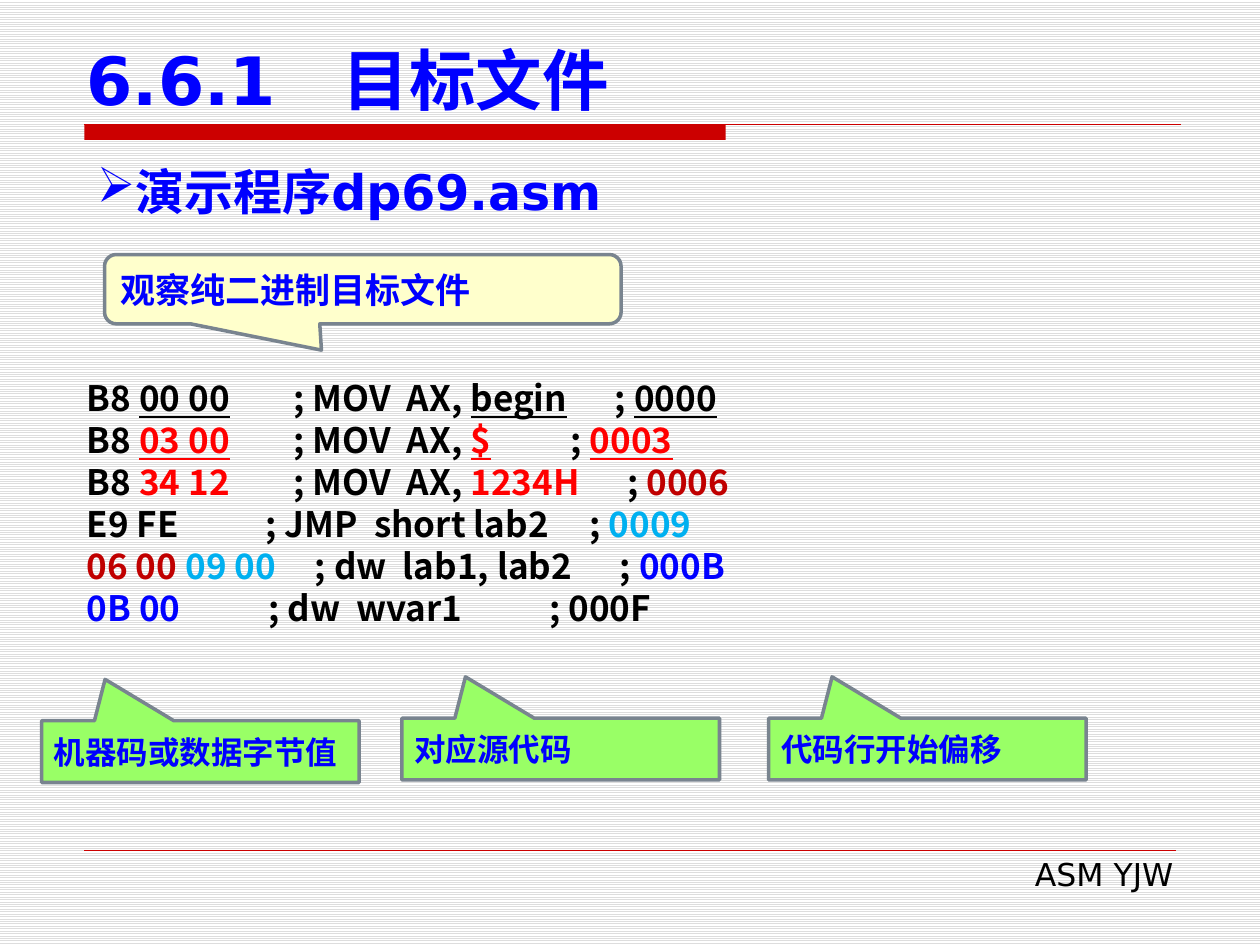
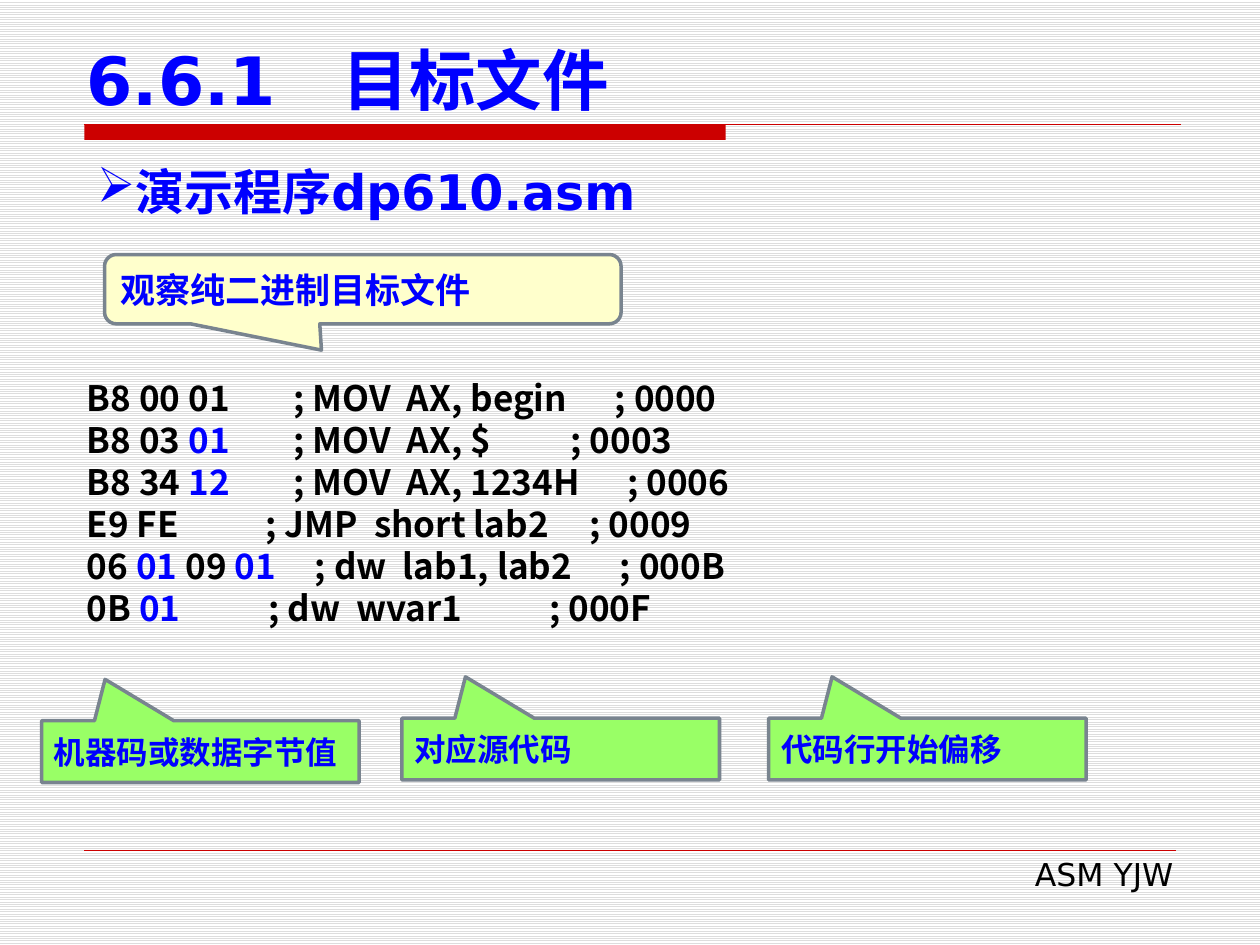
"""Build two slides on the object files of assembly demo programs."""
import pptx
import pptx.dml.color
import pptx.enum.dml
import pptx.enum.shapes
import pptx.enum.text
import pptx.oxml.ns
import pptx.util
from lxml import etree

Inches = pptx.util.Inches
Pt = pptx.util.Pt
RGBColor = pptx.dml.color.RGBColor
SHAPE = pptx.enum.shapes.MSO_SHAPE
ALIGN = pptx.enum.text.PP_ALIGN
ANCHOR = pptx.enum.text.MSO_ANCHOR
qn = pptx.oxml.ns.qn

BLACK = RGBColor(0x00, 0x00, 0x00)
WHITE = RGBColor(0xFF, 0xFF, 0xFF)
STRIPE = RGBColor(0xDD, 0xDD, 0xDD)
BLUE = RGBColor(0x00, 0x00, 0xFF)
SKY = RGBColor(0x00, 0xB0, 0xF0)
RED = RGBColor(0xFF, 0x00, 0x00)
DARK_RED = RGBColor(0xC0, 0x00, 0x00)
BAND_RED = RGBColor(0xCC, 0x00, 0x00)
CREAM = RGBColor(0xFF, 0xFF, 0xCC)
GREEN = RGBColor(0x99, 0xFF, 0x66)
OUTLINE = RGBColor(0x79, 0x84, 0x8F)

SANS = "DejaVu Sans"
CJK = "Noto Sans CJK SC"

TITLE_TAB = 2.03
CODE_TABS = [(1.64, 4.19), (1.64, 3.84), (1.64, 4.29),
             (1.42, 3.99), (1.81, 4.23), (1.44, 3.67)]

DP69_CODE = [
    [("B8 ",), ("00 00\t", BLACK, True), ("; MOV  AX, ",),
     ("begin", BLACK, True), ("\t; ",), ("0000", BLACK, True)],
    [("B8 ",), ("03 00\t", RED, True), ("; MOV  AX, ",),
     ("$", RED, True), ("\t; ",), ("0003", RED, True)],
    [("B8 ",), ("34 12\t", RED), ("; MOV  AX, ",),
     ("1234H", RED), ("\t; ",), ("0006", DARK_RED)],
    [("E9 FE\t; JMP  short lab2\t; ",), ("0009", SKY)],
    [("06 00 ", DARK_RED), ("09 00\t", SKY),
     ("; dw  lab1, lab2\t; ",), ("000B", BLUE)],
    [("0B 00\t", BLUE), ("; dw  wvar1\t; 000F",)],
]
DP610_CODE = [
    [("B8 00 01\t; MOV  AX, begin\t; 0000",)],
    [("B8 03 ",), ("01\t", BLUE), ("; MOV  AX, $\t; 0003",)],
    [("B8 34 ",), ("12\t", BLUE), ("; MOV  AX, 1234H\t; 0006",)],
    [("E9 FE\t; JMP  short lab2\t; 0009",)],
    [("06 ",), ("01", BLUE), (" 09 ",), ("01\t", BLUE),
     ("; dw  lab1, lab2\t; 000B",)],
    [("0B ",), ("01\t", BLUE), ("; dw  wvar1\t; 000F",)],
]
DEMOS = [("dp69.asm", DP69_CODE), ("dp610.asm", DP610_CODE)]

COLUMN_NOTES = [("机器码或数据字节值", 0.33, 5.72),
                ("对应源代码", 3.19, 5.7),
                ("代码行开始偏移", 6.1, 5.7)]


def style_paragraph(p, size, color, name=SANS, bold=True):
    """Set the font of a whole paragraph, for Latin and Chinese text."""
    font = p.font
    font.size = Pt(size)
    font.bold = bold
    font.color.rgb = color
    font.name = name
    props = p._p.get_or_add_pPr().find(qn("a:defRPr"))
    etree.SubElement(props, qn("a:ea"), typeface=name)


def add_tabs(p, stops):
    """Give a paragraph left tab stops, in inches."""
    tabs = etree.SubElement(p._p.get_or_add_pPr(), qn("a:tabLst"))
    for stop in stops:
        etree.SubElement(tabs, qn("a:tab"), pos=str(Inches(stop)), algn="l")


def add_bullet(p, char):
    """Put a bullet directly before the text of a paragraph."""
    props = p._p.get_or_add_pPr()
    props.set("marL", "0")
    props.set("indent", "0")
    etree.SubElement(props, qn("a:buChar"), char=char)


def add_text_frame(slide, x, y, w, h, anchor=ANCHOR.TOP):
    """Add a wrapping text box and return its text frame."""
    tf = slide.shapes.add_textbox(Inches(x), Inches(y), Inches(w), Inches(h)).text_frame
    tf.word_wrap = True
    tf.vertical_anchor = anchor
    return tf


def add_rule(slide, x1, x2, y, width):
    """Add a horizontal red line."""
    line = slide.shapes.add_connector(
        pptx.enum.shapes.MSO_CONNECTOR.STRAIGHT,
        Inches(x1), Inches(y), Inches(x2), Inches(y))
    line.line.color.rgb = BAND_RED
    line.line.width = Pt(width)
    etree.SubElement(line._element.spPr, qn("a:effectLst"))


def add_frame(slide):
    """Add the striped background, title band, footer line and footer."""
    fill = slide.background.fill
    fill.patterned()
    fill.pattern = pptx.enum.dml.MSO_PATTERN.LIGHT_HORIZONTAL
    fill.fore_color.rgb = STRIPE
    fill.back_color.rgb = WHITE

    band = slide.shapes.add_shape(
        SHAPE.RECTANGLE, Inches(0.67), Inches(0.99), Inches(5.09), Inches(0.12))
    band.shadow.inherit = False
    band.fill.solid()
    band.fill.fore_color.rgb = BAND_RED
    band.line.fill.background()
    add_rule(slide, 0.67, 9.37, 0.99, 0.75)
    add_rule(slide, 0.67, 9.33, 6.75, 0.25)

    p = add_text_frame(slide, 3.82, 6.74, 5.59, 0.4).paragraphs[0]
    p.text = "ASM YJW"
    p.alignment = ALIGN.RIGHT
    style_paragraph(p, 18, BLACK, bold=False)


def add_title(slide, text):
    """Add the slide title, standing on the red band."""
    p = add_text_frame(slide, 0.59, 0.28, 9.06, 0.71, ANCHOR.BOTTOM).paragraphs[0]
    p.text = text
    add_tabs(p, [TITLE_TAB])
    style_paragraph(p, 38, BLUE)


def add_heading(slide, text):
    """Add the bulleted line that names the demo program."""
    p = add_text_frame(slide, 0.67, 1.23, 8.66, 0.57).paragraphs[0]
    p.text = text
    p.alignment = ALIGN.JUSTIFY
    add_bullet(p, "➢")
    style_paragraph(p, 28, BLUE)


def add_callout(slide, kind, box, adjustments, fill, text, size, name=SANS):
    """Add a callout with blue text; box is left, top, width, height."""
    sp = slide.shapes.add_shape(kind, *map(Inches, box))
    sp.shadow.inherit = False
    for i, value in enumerate(adjustments):
        sp.adjustments[i] = value
    sp.fill.solid()
    sp.fill.fore_color.rgb = fill
    sp.line.color.rgb = OUTLINE
    sp.line.width = Pt(2)
    tf = sp.text_frame
    tf.word_wrap = True
    tf.vertical_anchor = ANCHOR.MIDDLE
    p = tf.paragraphs[0]
    p.text = text
    p.alignment = ALIGN.LEFT
    style_paragraph(p, size, BLUE, name)


def add_code(slide, lines):
    """Add the listing; each run is text, then optional colour and underline."""
    tf = add_text_frame(slide, 0.59, 2.94, 9.26, 2.12)
    for i, (runs, stops) in enumerate(zip(lines, CODE_TABS)):
        p = tf.add_paragraph() if i else tf.paragraphs[0]
        p.line_spacing = Pt(24)
        add_tabs(p, stops)
        style_paragraph(p, 20, BLACK, CJK)
        for text, *look in runs:
            r = p.add_run()
            r.text = text
            if look:
                r.font.color.rgb = look[0]
                r.font.underline = True if len(look) > 1 else None


def add_demo_slide(prs, program, code):
    """Add one slide that explains the object file of a program."""
    slide = prs.slides.add_slide(prs.slide_layouts[6])
    add_frame(slide)
    add_title(slide, "6.6.1\t目标文件")
    add_heading(slide, "演示程序" + program)
    add_callout(slide, SHAPE.ROUNDED_RECTANGULAR_CALLOUT, (0.83, 2.02, 4.1, 0.55),
                (-0.08, 0.88, 0.17), CREAM, "观察纯二进制目标文件", 20, CJK)
    add_code(slide, code)
    for text, x, y in COLUMN_NOTES:
        add_callout(slide, SHAPE.RECTANGULAR_CALLOUT, (x, y, 2.52, 0.49),
                    (-0.3, -1.17), GREEN, text, 18)


def main():
    """Build and save the presentation."""
    prs = pptx.Presentation()
    prs.slide_width = Inches(10)
    prs.slide_height = Inches(7.5)
    for program, code in DEMOS:
        add_demo_slide(prs, program, code)
    prs.save("out.pptx")


if __name__ == "__main__":
    main()
